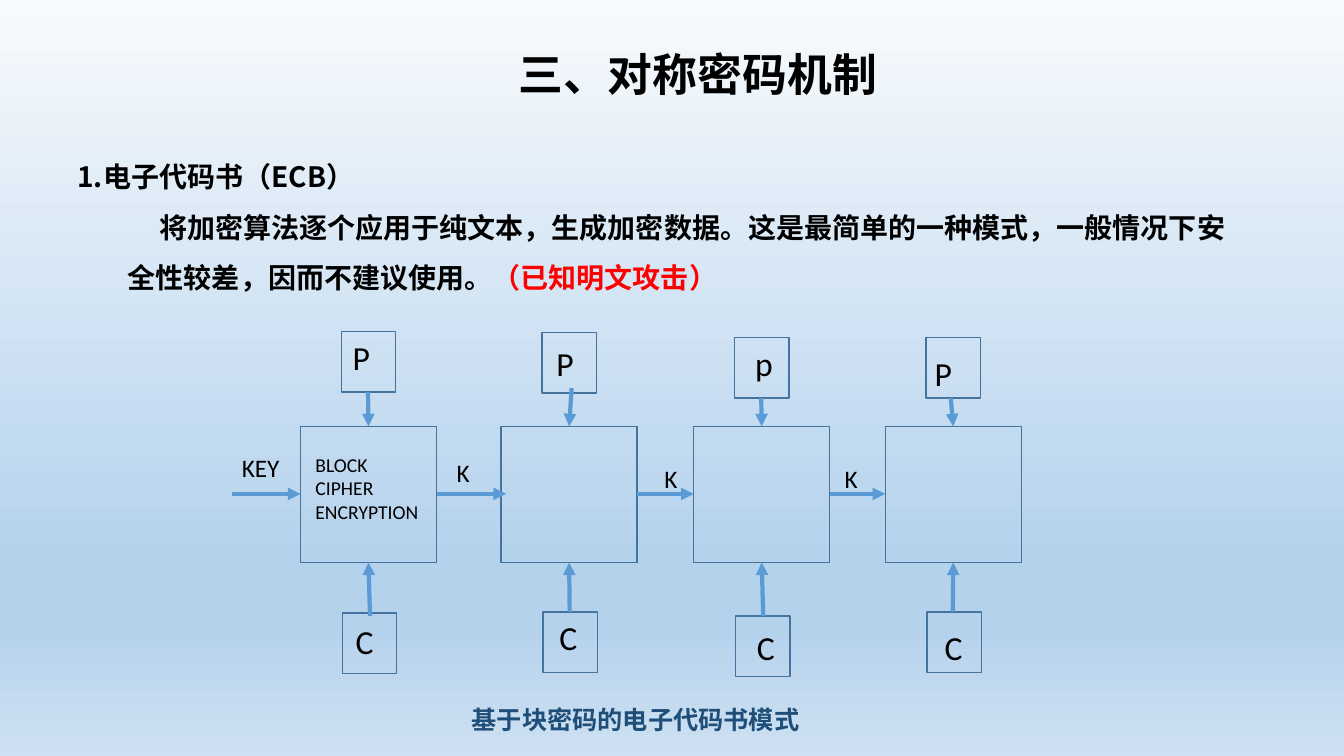
"""Build a slide on the electronic codebook mode of a block cipher."""
from dataclasses import dataclass
from typing import Any

from lxml import etree
from pptx import Presentation
from pptx import util as u
from pptx.dml import color
from pptx.enum import shapes, text
from pptx.oxml import ns

Point = tuple[float, float]
Run = tuple[str, dict[str, Any]]

HUES = {"black": "000000", "red": "FF0000", "navy": "1F4E79",
        "edge": "43739E", "arrow": "5B9BD5"}
STOPS = {0: "F7FAFD", 74: "B5D2EC", 83: "B5D2EC", 100: "CEE1F2"}
HAN = "Noto Sans CJK SC"
SIDE, WIDE, HIGH = 1.35, 0.54, 0.6
TOP = 4.23
BASE, MID = TOP + SIDE, 4.9


@dataclass
class Label:
    words: str
    left: float
    top: float
    width: float
    size: int = 24


@dataclass
class Stage:
    left: float
    plain: Label
    code: Label
    key: Label
    over: float
    under: float
    down: Point
    rise: Point
    enter: Point


STAGES = [
    Stage(2.98, Label("P", 3.4, 3.29, 0.47), Label("C", 3.43, 6.11, 0.47),
          Label("KEY", 2.3, 4.44, 0.73, 18), 3.29, 6.08,
          (3.65, 3.89), (3.67, 6.11), (2.3, 2.98)),
    Stage(4.97, Label("P", 5.42, 3.35, 0.5), Label("C", 5.45, 6.07, 0.4),
          Label("K", 4.43, 4.49, 0.73, 18), 3.3, 6.07,
          (5.67, 3.85), (5.65, 6.07), (4.33, 5.02)),
    Stage(6.88, Label("p", 7.39, 3.35, 0.43), Label("C", 7.41, 6.17, 0.27),
          Label("K", 6.49, 4.55, 0.73, 18), 3.35, 6.11,
          (7.55, 3.95), (7.57, 6.11), (6.32, 6.88)),
    Stage(8.78, Label("P", 9.17, 3.45, 0.52), Label("C", 9.27, 6.17, 0.43),
          Label("K", 8.28, 4.55, 0.73, 18), 3.35, 6.07,
          (9.43, 3.95), (9.45, 6.07), (8.23, 8.78)),
]


def tint(name: str) -> color.RGBColor:
    return color.RGBColor.from_string(HUES[name])


def apply(item: Any, form: dict[str, Any]) -> None:
    for name, value in form.items():
        setattr(item, name, value)


def write(slide: Any, area: tuple[float, float, float, float],
          paras: list[list[Run]], font: dict[str, Any], hue: str = "black",
          **form: Any) -> Any:
    box = slide.shapes.add_textbox(*map(u.Inches, area))
    frame = box.text_frame
    apply(frame, {"word_wrap": True,
                  "auto_size": text.MSO_AUTO_SIZE.SHAPE_TO_FIT_TEXT})
    for rank, runs in enumerate(paras):
        para = frame.add_paragraph() if rank else frame.paragraphs[0]
        apply(para, form)
        for words, extra in runs:
            run = para.add_run()
            run.text = words
            look = {"hue": hue, **font, **extra}
            run.font.color.rgb = tint(look.pop("hue"))
            apply(run.font, look)
    for props in box.element.iter(ns.qn("a:rPr")):
        etree.SubElement(props, ns.qn("a:ea"), typeface=HAN)
    return box


def label(slide: Any, tag: Label) -> None:
    height = 0.5 if tag.size == 24 else 0.4
    write(slide, (tag.left, tag.top, tag.width, height), [[(tag.words, {})]],
          {"name": "Calibri", "size": u.Pt(tag.size)})


def block(slide: Any, left: float, top: float, width: float,
          height: float) -> None:
    box = slide.shapes.add_shape(shapes.MSO_SHAPE.RECTANGLE,
                                 *map(u.Inches, (left, top, width, height)))
    box.shadow.inherit = False
    box.fill.background()
    box.line.color.rgb = tint("edge")
    box.line.width = u.Pt(1)


def arrow(slide: Any, start: Point, end: Point) -> None:
    wire = slide.shapes.add_connector(shapes.MSO_CONNECTOR.STRAIGHT,
                                      *map(u.Inches, (*start, *end)))
    wire.line.color.rgb = tint("arrow")
    wire.line.width = u.Pt(3)
    props = wire.element.spPr
    etree.SubElement(props.find(ns.qn("a:ln")), ns.qn("a:tailEnd"),
                     type="triangle")
    etree.SubElement(props, ns.qn("a:effectLst"))


def shade(slide: Any) -> None:
    fill = slide.background.fill
    fill.gradient()
    fill.gradient_angle = 270
    ramp = next(slide.element.iter(ns.qn("a:gsLst")))
    for old in list(ramp):
        ramp.remove(old)
    for place, hue in STOPS.items():
        stop = etree.SubElement(ramp, ns.qn("a:gs"), pos=str(place * 1000))
        etree.SubElement(stop, ns.qn("a:srgbClr"), val=hue)


def indent(box: Any, rank: int, left: float, first: float) -> None:
    para = list(box.element.iter(ns.qn("a:pPr")))[rank]
    para.set("marL", str(u.Inches(left)))
    para.set("indent", str(u.Inches(first)))


def draw(slide: Any, stage: Stage) -> None:
    mid = stage.left + SIDE / 2
    block(slide, stage.left, TOP, SIDE, SIDE)
    block(slide, mid - WIDE / 2, stage.over, WIDE, HIGH)
    block(slide, mid - WIDE / 2 + 0.01, stage.under, WIDE, HIGH)
    for tag in (stage.plain, stage.code, stage.key):
        label(slide, tag)
    start, end = stage.enter
    arrow(slide, (start, MID), (end, MID))
    arrow(slide, stage.down, (mid, TOP))
    arrow(slide, stage.rise, (mid, BASE))


def main() -> None:
    deck = Presentation()
    apply(deck, {"slide_width": u.Inches(13.33),
                 "slide_height": u.Inches(7.5)})
    slide = deck.slides.add_slide(deck.slide_layouts[6])
    shade(slide)
    title = write(slide, (0.92, 0.21, 11.5, 0.77),
                  [[("三、对称密码机制", {})]],
                  {"name": HAN, "size": u.Pt(32), "bold": True},
                  alignment=text.PP_ALIGN.CENTER, line_spacing=1.5)
    apply(title.text_frame, {"auto_size": text.MSO_AUTO_SIZE.NONE,
                             "vertical_anchor": text.MSO_ANCHOR.MIDDLE})
    indent(title, 0, 0.5, 0)
    for stage in STAGES:
        draw(slide, stage)
    write(slide, (4.58, 6.94, 5.12, 0.4),
          [[("基于块密码的电子代码书模式", {})]],
          {"name": "Calibri", "size": u.Pt(18), "bold": True}, "navy")
    write(slide, (3.03, 4.44, 1.75, 0.81),
          [[(word, {})] for word in ("BLOCK", "CIPHER", "ENCRYPTION")],
          {"name": "Calibri", "size": u.Pt(14)})
    body = write(slide, (0.67, 1.37, 11.86, 1.62),
                 [[("1.电子代码书（ECB）", {})],
                  [("将加密算法逐个应用于纯文本，生成加密数据。这是最简单的一种模式，"
                    "一般情况下安全性较差，因而不建议使用。", {}),
                   ("（已知明文攻击）", {"hue": "red"})]],
                 {"name": HAN, "size": u.Pt(20), "bold": True},
                 line_spacing=1.5)
    indent(body, 1, 0.5, 0.31)
    deck.save("out.pptx")


if __name__ == "__main__":
    main()
